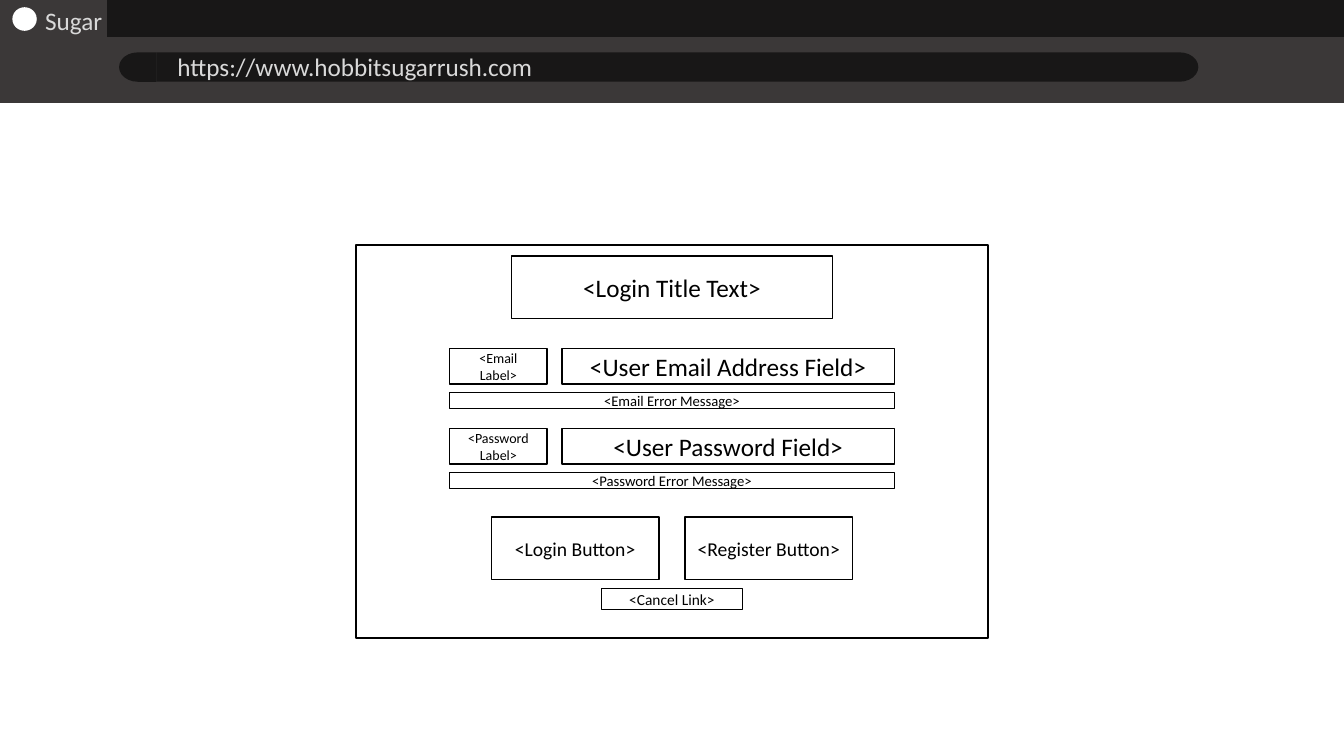
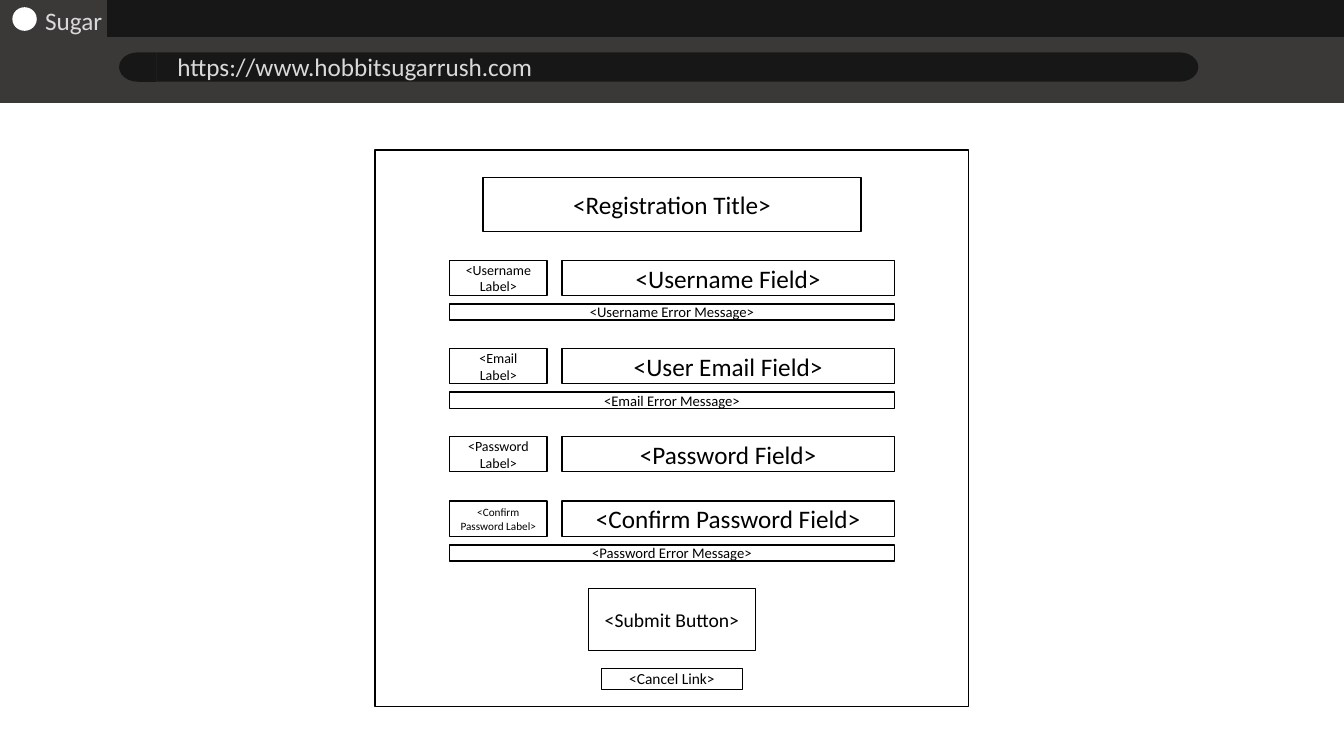
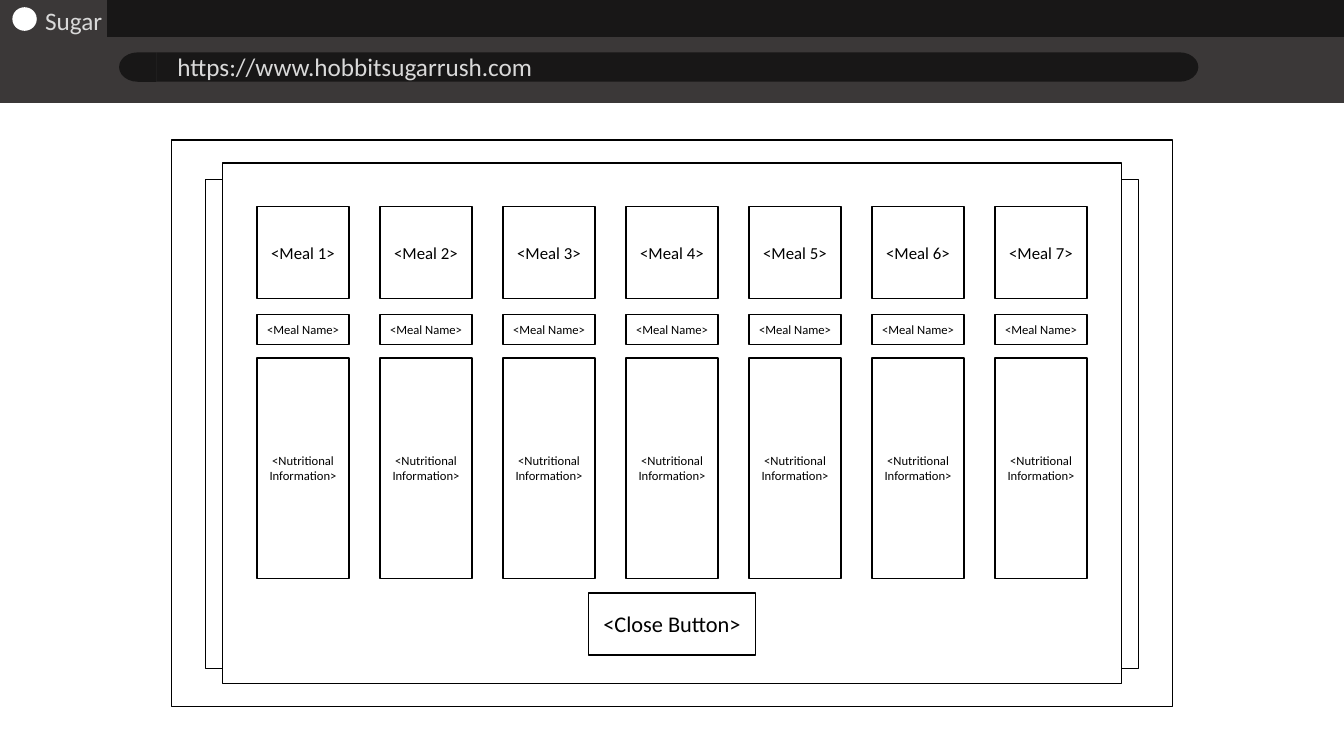
import dataclasses
import typing

import pptx
import pptx.dml.color
import pptx.enum.shapes
import pptx.enum.text
import pptx.presentation
import pptx.slide
import pptx.util

Cm = pptx.util.Cm
Preset = pptx.enum.shapes.MSO_SHAPE
AutoSize = pptx.enum.text.MSO_AUTO_SIZE


# Theme: colours and type sizes
@dataclasses.dataclass(frozen=True)
class Theme:
    font: str = "Calibri"
    toolbar: str = "3B3838"
    dark: str = "181717"
    light_text: str = "D9D9D9"
    paper: str = "FFFFFF"
    ink: str = "000000"
    heading: float = 18
    close: float = 16
    button: float = 14
    meal: float = 12
    link: float = 11
    error: float = 10.5
    label: float = 10
    meal_detail: float = 9
    small_label: float = 8


THEME = Theme()

# Shared measures, in centimetres
SLIDE_WIDTH, SLIDE_HEIGHT = 33.87, 19.05
FORM_LEFT, FORM_WIDTH = 11.33, 11.21
LABEL_WIDTH, FIELD_WIDTH, FIELD_HEIGHT = 2.46, 8.38, 0.89
ERROR_OFFSET, ERROR_HEIGHT = 1.1, 0.41
BUTTON_WIDTH, BUTTON_HEIGHT, BUTTON_GAP = 4.22, 1.57, 0.66
LINK_WIDTH, LINK_HEIGHT = 3.56, 0.53
MEAL_COUNT, MEAL_WIDTH, MEAL_PITCH = 7, 2.32, 3.1


@dataclasses.dataclass(frozen=True)
class Box:
    left: float
    top: float
    width: float
    height: float
    text: str = ""
    size: float = THEME.heading

    def lengths(self) -> tuple[int, int, int, int]:
        return Cm(self.left), Cm(self.top), Cm(self.width), Cm(self.height)


@dataclasses.dataclass(frozen=True)
class FormRow:
    top: float
    label: str
    field: str
    error: str = ""
    label_size: float = THEME.label


@dataclasses.dataclass(frozen=True)
class BarPart:
    box: Box
    fill: str
    preset: Preset = Preset.RECTANGLE
    line: typing.Optional[str] = None
    rotation: float = 0


def centred(top: float, width: float, height: float,
            text: str = "", size: float = THEME.heading) -> Box:
    return Box((SLIDE_WIDTH - width) / 2, top, width, height, text, size)


# Drawing functions
def rgb(colour: str) -> pptx.dml.color.RGBColor:
    return pptx.dml.color.RGBColor.from_string(colour)


def paint(shape, fill: str, line: typing.Optional[str]) -> None:
    shape.fill.solid()
    shape.fill.fore_color.rgb = rgb(fill)
    if line:
        shape.line.color.rgb = rgb(line)
        shape.line.width = pptx.util.Pt(1)
    else:
        shape.line.fill.background()


def write(shape, text: str, size: float, colour: str,
          alignment: pptx.enum.text.PP_ALIGN) -> None:
    shape.text_frame.text = text
    shape.text_frame.word_wrap = True
    paragraph = shape.text_frame.paragraphs[0]
    paragraph.alignment = alignment
    font = paragraph.runs[0].font
    font.name, font.size = THEME.font, pptx.util.Pt(size)
    font.color.rgb = rgb(colour)


def format_box(shape, box: Box) -> None:
    paint(shape, THEME.paper, THEME.ink)
    if box.text:
        write(shape, box.text, box.size, THEME.ink, pptx.enum.text.PP_ALIGN.CENTER)
        shape.text_frame.vertical_anchor = pptx.enum.text.MSO_ANCHOR.MIDDLE


def add_box(slide: pptx.slide.Slide, box: Box) -> None:
    shape = slide.shapes.add_shape(Preset.RECTANGLE, *box.lengths())
    shape.shadow.inherit = False
    format_box(shape, box)


def place_title(slide: pptx.slide.Slide, box: Box) -> None:
    title = slide.shapes.title
    title.left, title.top, title.width, title.height = box.lengths()
    format_box(title, box)
    title.text_frame.auto_size = AutoSize.NONE
    # Bring the title in front of the panel
    title.element.getparent().append(title.element)


def add_form_row(slide: pptx.slide.Slide, row: FormRow) -> None:
    field_left = FORM_LEFT + FORM_WIDTH - FIELD_WIDTH
    add_box(slide, Box(field_left, row.top, FIELD_WIDTH, FIELD_HEIGHT, row.field))
    add_box(slide, Box(FORM_LEFT, row.top, LABEL_WIDTH, FIELD_HEIGHT,
                       row.label, row.label_size))
    if row.error:
        add_box(slide, Box(FORM_LEFT, row.top + ERROR_OFFSET, FORM_WIDTH,
                           ERROR_HEIGHT, row.error, THEME.error))


def add_buttons(slide: pptx.slide.Slide, top: float, labels: list[str],
                size: float = THEME.button) -> None:
    pitch = BUTTON_WIDTH + BUTTON_GAP
    left = (SLIDE_WIDTH - pitch * len(labels) + BUTTON_GAP) / 2
    for index, label in enumerate(labels):
        add_box(slide, Box(left + index * pitch, top, BUTTON_WIDTH,
                           BUTTON_HEIGHT, label, size))


def add_form(presentation: pptx.presentation.Presentation, panel: Box, title: Box,
             rows: list[FormRow], button_top: float, buttons: list[str],
             cancel_top: float) -> None:
    slide = presentation.slides.add_slide(presentation.slide_layouts[5])
    add_box(slide, panel)
    place_title(slide, title)
    for row in rows:
        add_form_row(slide, row)
    add_buttons(slide, button_top, buttons)
    add_box(slide, centred(cancel_top, LINK_WIDTH, LINK_HEIGHT,
                           "<Cancel Link>", THEME.link))


# Browser bar shared by all slides
BAR_PARTS = [
    BarPart(Box(0, 0, SLIDE_WIDTH, 2.59), THEME.toolbar, line=THEME.toolbar),
    BarPart(Box(2.7, 0, SLIDE_WIDTH - 2.7, 0.93), THEME.dark),
    BarPart(Box(3.94, 1.32, 25.32, 0.74), THEME.dark),
    BarPart(Box(29.26, 1.32, 0.94, 0.74), THEME.dark, Preset.FLOWCHART_DELAY),
    BarPart(Box(3, 1.32, 0.94, 0.74), THEME.dark, Preset.FLOWCHART_DELAY, rotation=180),
    BarPart(Box(0.33, 0.2, 0.58, 0.56), THEME.paper, Preset.FLOWCHART_CONNECTOR,
            line=THEME.paper),
]
BAR_TEXTS = [
    Box(4.22, 1.17, 23.04, 1.02, "https://www.hobbitsugarrush.com"),
    Box(0.89, 0, 6.93, 1.02, "Sugar"),
]


def move_to_master(presentation: pptx.presentation.Presentation,
                   slide: pptx.slide.Slide) -> None:
    tree = presentation.slide_master.shapes.element
    for number, shape in enumerate(list(slide.shapes), start=100):
        shape.element.xpath(".//p:cNvPr")[0].set("id", str(number))
        tree.append(shape.element)


def add_browser_bar(slide: pptx.slide.Slide) -> None:
    for part in BAR_PARTS:
        shape = slide.shapes.add_shape(part.preset, *part.box.lengths())
        shape.shadow.inherit = False
        shape.rotation = part.rotation
        paint(shape, part.fill, part.line)
    for box in BAR_TEXTS:
        shape = slide.shapes.add_textbox(*box.lengths())
        write(shape, box.text, box.size, THEME.light_text, pptx.enum.text.PP_ALIGN.LEFT)
        shape.text_frame.auto_size = AutoSize.SHAPE_TO_FIT_TEXT


# Meal window
def add_meal_slide(slide: pptx.slide.Slide) -> None:
    add_box(slide, centred(3.53, 25.22, 14.27))
    add_box(slide, Box(5.18, 4.52, 7.16, 12.32))
    add_box(slide, Box(13.61, 4.52, 15.09, 12.32))
    add_box(slide, centred(4.11, 22.66, 13.11))
    add_buttons(slide, 14.94, ["<Close Button>"], THEME.close)
    first_left = (SLIDE_WIDTH - MEAL_PITCH * (MEAL_COUNT - 1) - MEAL_WIDTH) / 2
    for index in range(MEAL_COUNT):
        left = first_left + index * MEAL_PITCH
        for top, height, text, size in (
            (5.21, 2.32, f"<Meal {index + 1}>", THEME.meal),
            (7.92, 0.76, "<Meal Name>", THEME.meal_detail),
            (9.02, 5.56, "<Nutritional Information>", THEME.meal_detail),
        ):
            add_box(slide, Box(left, top, MEAL_WIDTH, height, text, size))


def main() -> None:
    presentation = pptx.Presentation()
    presentation.slide_width = Cm(SLIDE_WIDTH)
    presentation.slide_height = Cm(SLIDE_HEIGHT)

    # Login
    add_form(
        presentation,
        panel=centred(6.17, 15.93, 9.91),
        title=centred(6.45, 8.1, 1.57, "<Login Title Text>"),
        rows=[
            FormRow(8.79, "<Email Label>", "<User Email Address Field>",
                    "<Email Error Message>"),
            FormRow(10.8, "<Password Label>", "<User Password Field>",
                    "<Password Error Message>"),
        ],
        button_top=13.03,
        buttons=["<Login Button>", "<Register Button>"],
        cancel_top=14.83,
    )

    # Registration
    add_form(
        presentation,
        panel=centred(3.78, 14.96, 14.02),
        title=centred(4.47, 9.53, 1.37, "<Registration Title>"),
        rows=[
            FormRow(6.56, "<Username Label>", "<Username Field>",
                    "<Username Error Message>"),
            FormRow(8.78, "<Email Label>", "<User Email Field>",
                    "<Email Error Message>"),
            FormRow(11, "<Password Label>", "<Password Field>"),
            FormRow(12.63, "<Confirm Password Label>", "<Confirm Password Field>",
                    "<Password Error Message>", THEME.small_label),
        ],
        button_top=14.83,
        buttons=["<Submit Button>"],
        cancel_top=16.84,
    )

    # Meals; the bar is drawn on the still empty slide and moved to the master
    slide = presentation.slides.add_slide(presentation.slide_layouts[6])
    add_browser_bar(slide)
    move_to_master(presentation, slide)
    add_meal_slide(slide)

    presentation.save("out.pptx")


main()
